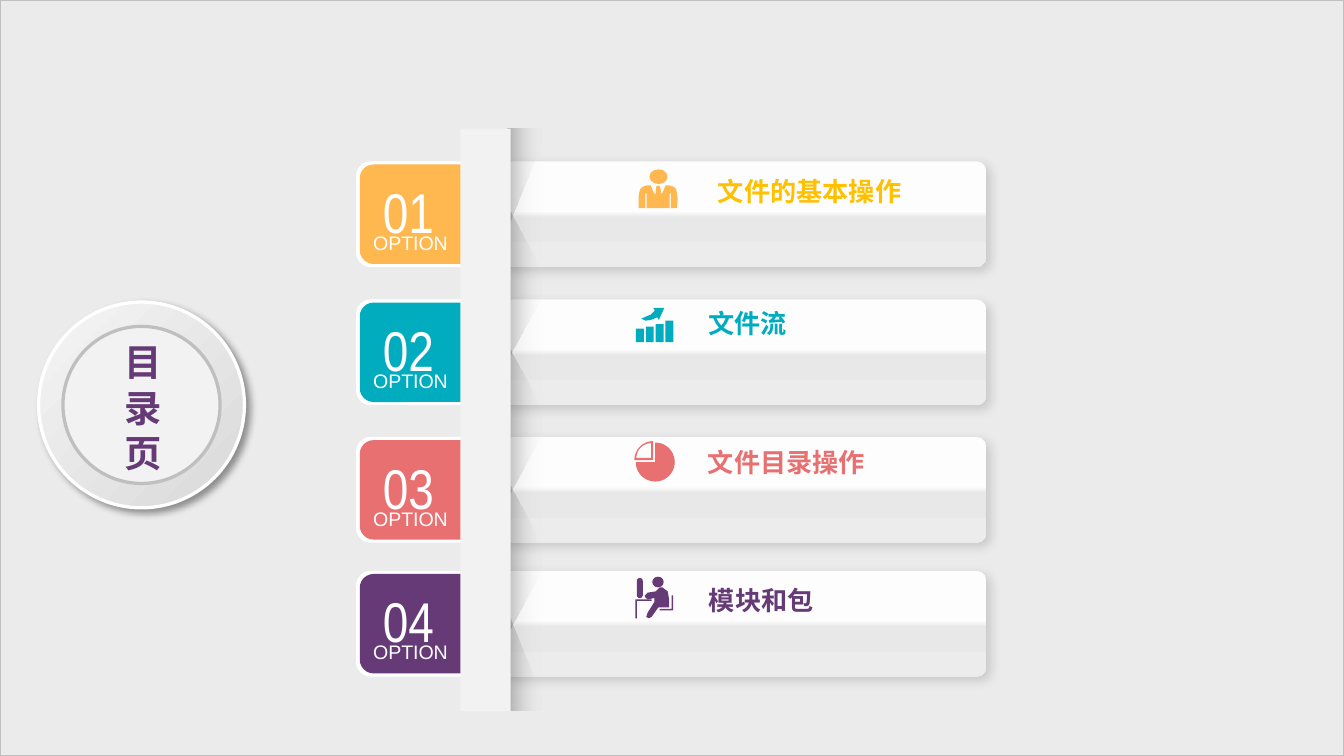
from itertools import pairwise
from math import cos, radians, sin

from lxml.etree import SubElement
from pptx import Presentation
from pptx.dml.color import RGBColor
from pptx.enum.shapes import MSO_SHAPE
from pptx.enum.text import MSO_ANCHOR, PP_ALIGN
from pptx.oxml import parse_xml
from pptx.oxml.ns import nsdecls, qn
from pptx.util import Cm, Pt

HAN = "Noto Sans CJK SC"
WHITE, GREY, PALE = "FFFFFF", "BFBFBF", "F2F2F2"
GOLD, TEAL, CORAL, PLUM = "FFB850", "01ACBE", "E87071", "663A77"
UNIT = Cm(2.54) / 100  # grid step of the icons
BAR_H = 2.0
FADE = [(0, "000000", 21), (100, PALE, 1)]


def rgb(hue):
    return RGBColor.from_string(hue)


def tint(hue, alpha):
    return f'<a:srgbClr val="{hue}"><a:alpha val="{alpha * 1000}"/></a:srgbClr>'


def paint(shape, fill, line=None, width=1):
    shape.shadow.inherit = False
    shape.fill.solid()
    shape.fill.fore_color.rgb = rgb(fill)
    if line:
        shape.line.color.rgb = rgb(line)
        shape.line.width = Pt(width)
    else:
        shape.line.fill.background()
    return shape


def blend(shape, stops, angle):
    """Swap the solid fill for a gradient of (position, colour, alpha) stops."""
    marks = "".join(f'<a:gs pos="{pos * 1000}">{tint(hue, alpha)}</a:gs>'
                    for pos, hue, alpha in stops)
    props = shape.element.spPr
    props.replace(props.find(qn("a:solidFill")), parse_xml(
        f'<a:gradFill rotWithShape="1" {nsdecls("a")}><a:gsLst>{marks}</a:gsLst>'
        f'<a:lin ang="{angle * 60000}" scaled="0"/></a:gradFill>'))


def shade(shape, alpha, blur, dist):
    shape.element.spPr.find(qn("a:effectLst")).append(parse_xml(
        f'<a:outerShdw blurRad="{Pt(blur)}" dist="{Pt(dist)}" dir="2700000" '
        f'algn="tl" rotWithShape="0" {nsdecls("a")}>{tint("000000", alpha)}</a:outerShdw>'))


def block(slide, kind, x, y, w, h, fill, line=None, width=1, bend=None):
    shape = slide.shapes.add_shape(kind, Cm(x), Cm(y), Cm(w), Cm(h))
    if bend is not None:
        shape.adjustments[0] = bend
    return paint(shape, fill, line, width)


def write(frame, words, size, face, hue, bold=False, align=PP_ALIGN.CENTER):
    frame.text = words
    para = frame.paragraphs[0]
    para.alignment = align
    font = para.font
    font.size, font.name, font.bold = Pt(size), face, bold
    font.color.rgb = rgb(hue)
    latin = para._p.pPr.find(qn("a:defRPr")).find(qn("a:latin"))
    east = SubElement(latin.getparent(), qn("a:ea"), typeface=face)
    latin.addnext(east)


def text(slide, x, y, w, h, words, size, face, hue, wrap=True, **look):
    frame = slide.shapes.add_textbox(Cm(x), Cm(y), Cm(w), Cm(h)).text_frame
    frame.word_wrap = wrap
    write(frame, words, size, face, hue, **look)
    return frame


def trace(slide, x, y, hue, *loops, step=UNIT):
    """Fill closed loops of points counted in steps from (x, y)."""
    loops = [[(px * step, py * step) for px, py in loop] for loop in loops]
    pen = slide.shapes.build_freeform(*loops[0][0])
    pen.add_line_segments(loops[0][1:])
    for loop in loops[1:]:
        pen.move_to(*loop[0])
        pen.add_line_segments(loop[1:])
    return paint(pen.convert_to_shape(Cm(x), Cm(y)), hue)


def spot(slide, kind, x, y, hue, left, top, w, h, bend=None):
    """Place a preset shape on the icon grid."""
    k = 0.0254
    block(slide, kind, x + left * k, y + top * k, w * k, h * k, hue, bend=bend)


def slice_of(mid, r, start, stop):
    turns = [radians(a) for a in range(start, stop + 1, 5)]
    return [(mid, mid)] + [(mid + r * cos(t), mid + r * sin(t)) for t in turns]


def man(slide, x, y, hue):
    spot(slide, MSO_SHAPE.OVAL, x, y, hue, 8, 0, 13.5, 11)
    trace(slide, x, y, hue, [
        (20, 12), (18, 17), (14.5, 23), (17, 19), (16, 13), (14.5, 12), (13, 13),
        (12.5, 19), (11, 17), (9, 12), (6, 12), (3, 13), (1, 15), (0, 20), (0, 29),
        (5, 29), (5, 18), (6, 18), (6, 29), (23, 29), (23, 18), (24, 18), (24, 29),
        (28.5, 29), (29, 22), (28, 15), (26, 13), (23, 12)])


def growth(slide, x, y, hue):
    for i, tall in enumerate((10, 11.5, 13.5, 16)):
        spot(slide, MSO_SHAPE.RECTANGLE, x, y, hue, 7.3 * i, 25.5 - tall, 6, tall)
    trace(slide, x, y, hue, [(14, 2), (11, 5), (4, 8), (7, 9.5), (11, 9), (16, 7),
                             (17, 9), (21, 0), (13, 0)])


def pie(slide, x, y, hue):
    trace(slide, x, y, hue, slice_of(15.5, 14.5, 270, 540))
    trace(slide, x, y, hue, slice_of(14, 14, 180, 270), slice_of(12.5, 11, 180, 270))


def desk(slide, x, y, hue):
    trace(slide, x, y, hue, [(0, 17), (12, 17), (12, 18), (1, 18), (1, 31), (0, 31)])
    spot(slide, MSO_SHAPE.ROUNDED_RECTANGLE, x, y, hue, 1, 1, 4.5, 15, bend=0.5)
    spot(slide, MSO_SHAPE.OVAL, x, y, hue, 12.5, 0, 8.5, 8)
    trace(slide, x, y, hue, [
        (9, 27), (8, 30), (10, 31), (12, 30), (17, 23), (25, 23), (25, 17), (24, 11),
        (20, 8), (18, 8), (15, 11), (9, 12), (7, 14), (7, 15), (9, 17), (14, 16), (14, 19)])
    trace(slide, x, y, hue, [(18, 24), (27, 24), (27, 14), (28, 14), (28, 25), (18, 25)])


def badge(slide, x, y, size):
    """Round title plate."""
    ring = block(slide, MSO_SHAPE.OVAL, x, y, size, size, PALE, WHITE, 1.75)
    blend(ring, [(0, "F5F5F5", 100), (100, "D9D9D9", 100)], 45)
    shade(ring, 40, 4, 3)
    gap = 0.46
    inner = size - 2 * gap
    block(slide, MSO_SHAPE.OVAL, x + gap, y + gap, inner, inner, PALE, GREY, 1.75)
    title = slide.shapes.title
    title.element.getparent().append(title.element)
    title.left, title.top = Cm(x + 1.15), Cm(y + 0.57)
    title.width, title.height = Cm(1.65), Cm(2.82)
    frame = title.text_frame
    frame.word_wrap = True
    frame.vertical_anchor = MSO_ANCHOR.MIDDLE
    write(frame, "目录页", 20, HAN, PLUM, bold=True)
    frame.paragraphs[0].line_spacing = Pt(24.4)


def tab(slide, x, y, number, hue):
    kind = MSO_SHAPE.ROUNDED_RECTANGLE
    block(slide, kind, x, y, 2.24, BAR_H, WHITE, bend=0.139)
    block(slide, kind, x + 0.07, y + 0.06, 2.21, 1.88, hue, bend=0.139)
    text(slide, x - 0.09, y + 0.18, 2.16, 1.55, number, 30, "Arial Narrow", WHITE)
    text(slide, x - 0.05, y + 1.19, 2.16, 0.71, "OPTION", 10.5, "Arial", WHITE)


def bar(slide, x, y):
    shape = block(slide, MSO_SHAPE.ROUNDED_RECTANGLE, x, y, 9.14, BAR_H, WHITE, bend=0.092)
    blend(shape, [(47, "FDFDFD", 100), (53, "E8E8E8", 100), (100, "ECECEC", 100)], 90)
    shade(shape, 14, 6, 3)


def strip(slide, x, y, w, h, tops):
    """Upright band over the shadows it throws between the bars."""
    edge, deep, long = x + w - 0.05, 0.66, 2.92
    glow = block(slide, MSO_SHAPE.RECTANGLE, edge, y, deep, h, PALE)
    blend(glow, [(0, "000000", 8), (100, PALE, 1)], 0)
    for start, way in ((y, 1), (y + h, -1)):
        wedge = trace(slide, edge, start, PALE, [
            (0, 0), (deep, 0), (deep, 0.23 * way), (0, 1.89 * way)], step=Cm(1))
        blend(wedge, FADE, 0)
    for high, low in pairwise(tops):
        mid = (high + low + BAR_H) / 2
        fold = block(slide, MSO_SHAPE.TRAPEZOID, edge + (deep - long) / 2, mid - deep / 2,
                     long, deep, PALE, bend=1.88)
        fold.rotation = 90
        blend(fold, [(0, PALE, 1), (100, "000000", 21)], 90)
    block(slide, MSO_SHAPE.RECTANGLE, x, y, w, h, PALE)


def main():
    deck = Presentation()
    deck.slide_width, deck.slide_height = Cm(25.4), Cm(14.29)
    slide = deck.slides.add_slide(deck.slide_layouts[5])
    block(slide, MSO_SHAPE.RECTANGLE, 0, 0, 25.4, 14.29, "EBEBEB", GREY)
    badge(slide, 0.73, 5.71, 3.89)
    # top, hue, icon, icon x, icon drop, label, label hue, label x, label drop
    rows = [
        (3.05, GOLD, man, 12.07, 0.15, "文件的基本操作", "FFC000", 13.32, 0.13),
        (5.66, TEAL, growth, 12.02, 0.16, "文件流", TEAL, 13.14, 0.02),
        (8.26, CORAL, pie, 11.99, 0.08, "文件目录操作", CORAL, 13.13, 0.05),
        (10.79, PLUM, desk, 12.01, 0.11, "模块和包", PLUM, 13.15, 0.13),
    ]
    tops = [row[0] for row in rows]
    for i, (top, hue, *_) in enumerate(rows, 1):
        tab(slide, 6.73, top, f"{i:02}", hue)
    for top in tops:
        bar(slide, 9.5, top)
    strip(slide, 8.7, 2.43, 0.95, 11.01, tops)
    for top, hue, icon, left, drop, words, ink, start, fall in rows:
        icon(slide, left, top + drop, hue)
        frame = text(slide, start, top + fall, 4.19, 0.86, words, 14, HAN, ink,
                     wrap=False, bold=True, align=PP_ALIGN.LEFT)
        frame.vertical_anchor = MSO_ANCHOR.MIDDLE
    deck.save("out.pptx")


if __name__ == "__main__":
    main()
